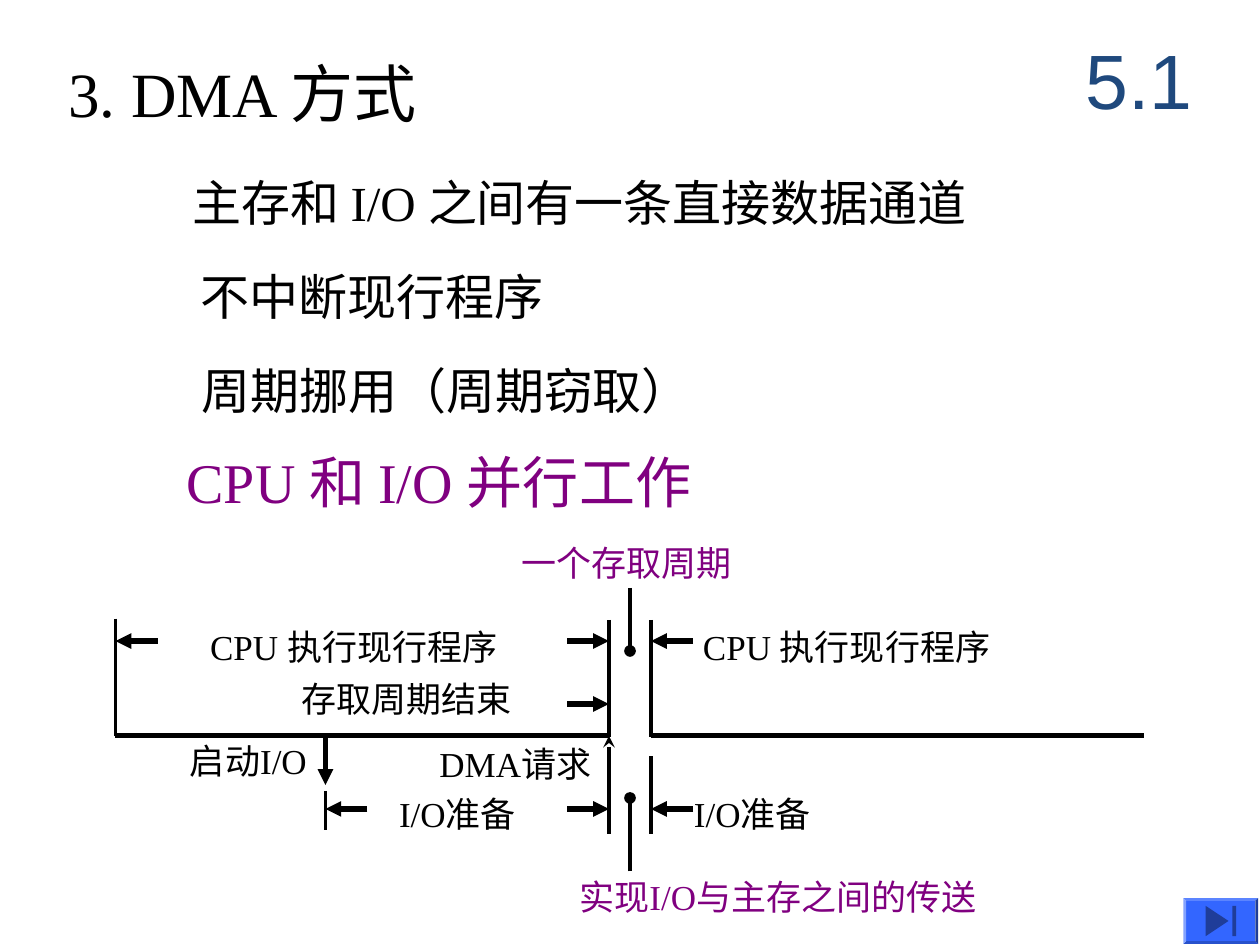
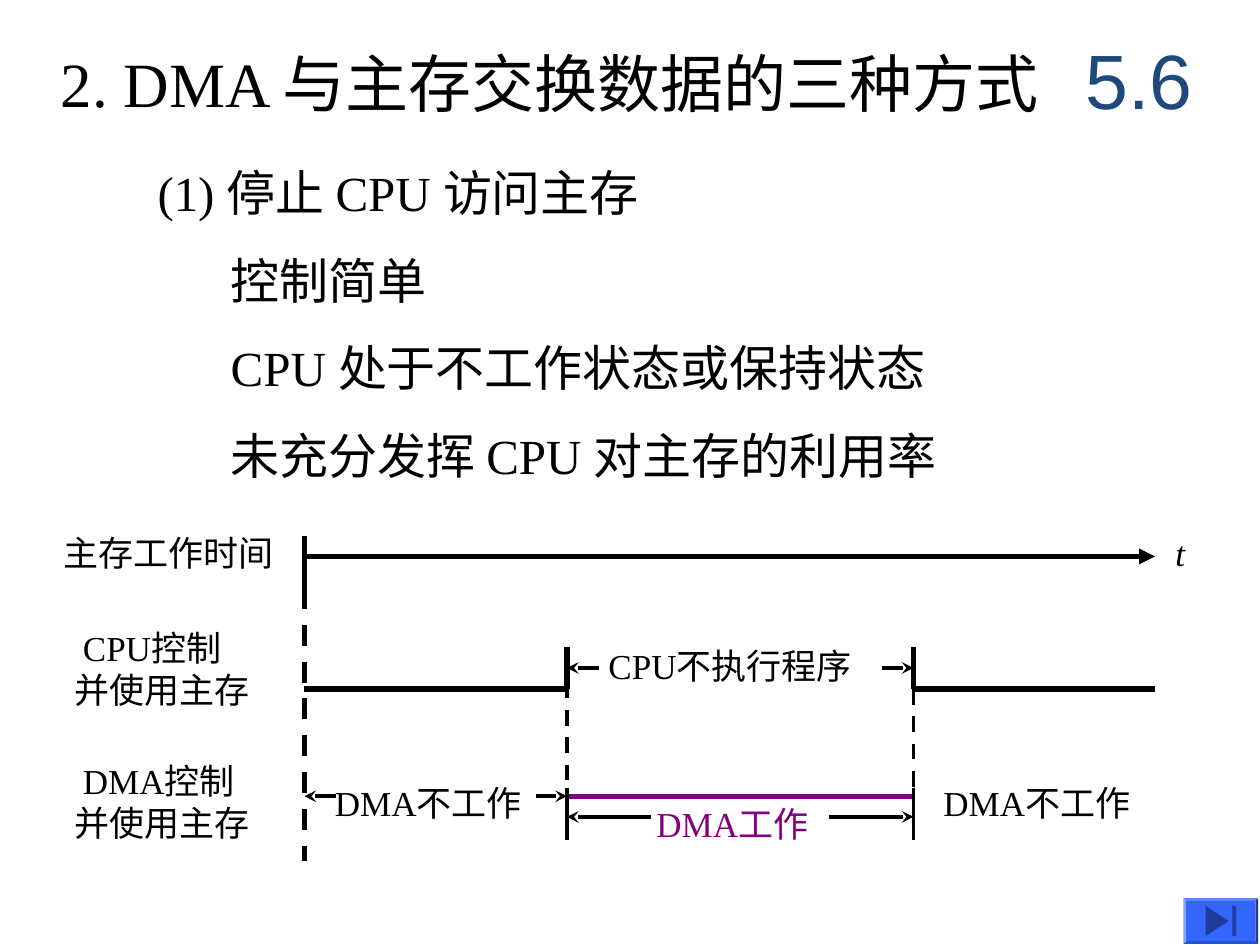
import pptx
import pptx.dml.color
import pptx.enum.dml
import pptx.enum.shapes
import pptx.enum.text
import pptx.oxml
import pptx.oxml.ns
import pptx.util

Pt = pptx.util.Pt
SHAPES = pptx.enum.shapes.MSO_SHAPE
ANCHOR = pptx.enum.text.MSO_ANCHOR
ALIGN = pptx.enum.text.PP_ALIGN
FIT = pptx.enum.text.MSO_AUTO_SIZE

SERIF, SANS = "Times New Roman", "Arial"
BLACK, PURPLE, NAVY = "000000", "800080", "1F497D"
BUTTON_BLUE, BUTTON_DARK = "3366FF", "1F3D99"
THICK, THIN = 3, 2.25
LINE_HEIGHT = 1.2

# x positions of the time marks
START, IO_START, CYCLE, CYCLE_MID, CYCLE_END, FINISH = 66, 186, 348, 360, 372, 654
ORIGIN, STOP, RESUME, AXIS_END = 174, 324, 522, 660

DMA_MODE = {
    "number": "5.1",
    "title": ("3. DMA 方式", 31.7, 27.4),
    "body": (99.4, 95, 560, 20.2),
    "items": [
        ("主存和 I/O 之间有一条直接数据通道", {"indent": 3.6}),
        ("不中断现行程序", {"indent": 8}),
        ("周期挪用（周期窃取）", {"indent": 8.6}),
        ("CPU 和 I/O 并行工作", {"size": 32, "color": PURPLE, "before": 16}),
    ],
    "labels": [
        (["存取周期结束"], 165, 383.8, 135, {}),
        (["CPU 执行现行程序"], 113, 354, 188, {}),
        (["CPU 执行现行程序"], 394.6, 354, 188, {}),
        (["DMA请求"], 244, 420.5, 106, {}),
        (["启动I/O"], 101.5, 419, 86, {}),
        (["I/O准备"], 221, 449.3, 86, {}),
        (["I/O准备"], 389.5, 449.3, 86, {}),
        (["一个存取周期"], 291, 306, 135, {"color": PURPLE}),
        (["实现I/O与主存之间的传送"], 324, 496.8, 258, {"color": PURPLE}),
    ],
    "lines": [
        (START, 420.5, CYCLE, 420.5, THICK, {}),
        (CYCLE_END, 420.5, FINISH, 420.5, THICK, {}),
        (START, 353.5, START, 420.5, THIN, {}),
        (CYCLE, 354.2, CYCLE, 421, THIN, {}),
        (CYCLE_END, 354.2, CYCLE_END, 421, THIN, {}),
        (CYCLE, 476.5, CYCLE, 420.5, THIN, {"arrow": "stealth"}),
        (CYCLE_END, 432, CYCLE_END, 476.5, THIN, {}),
        (IO_START, 419, IO_START, 448.6, THICK, {"arrow": "triangle"}),
        (IO_START, 452, IO_START, 474.5, THIN, {}),
        (CYCLE_MID, 336, CYCLE_MID, 372, THIN, {"arrow": "oval"}),
        (CYCLE_MID, 498, CYCLE_MID, 456, THIN, {"arrow": "oval"}),
    ],
    "pointers": [
        (START, 366.3, 24, THICK, "triangle"),
        (CYCLE, 366.3, -24, THICK, "triangle"),
        (CYCLE_END, 366.3, 24, THICK, "triangle"),
        (CYCLE, 402.3, -24, THICK, "triangle"),
        (IO_START, 462.3, 24, THICK, "triangle"),
        (CYCLE, 462.3, -24, THICK, "triangle"),
        (CYCLE_END, 462.3, 24, THICK, "triangle"),
    ],
}

DMA_STOP_CPU = {
    "number": "5.6",
    "title": ("2. DMA 与主存交换数据的三种方式", 27.4, 21.6),
    "body": (82.8, 89.3, 560, 16.4),
    "items": [
        ("(1) 停止 CPU 访问主存", {}),
        ("控制简单", {"indent": 41.8}),
        ("CPU 处于不工作状态或保持状态", {"indent": 41.8}),
        ("未充分发挥 CPU 对主存的利用率", {"indent": 41.8}),
    ],
    "labels": [
        (["主存工作时间"], 29, 300, 135, {}),
        (["CPU控制", "并使用主存"], 35.3, 354.2, 114.5, {"first_indent": 5}),
        (["DMA控制", "并使用主存"], 35.3, 430.6, 114.5, {"first_indent": 5}),
        (["CPU不执行程序"], 340.6, 365, 158.4, {}),
        (["DMA不工作"], 184.3, 442.8, 126, {}),
        (["DMA不工作"], 532, 442.8, 126, {}),
        (["DMA工作"], 368, 455, 106, {"color": PURPLE}),
        (["t"], 664.6, 300, 19.5, {"italic": True}),
    ],
    "lines": [
        (ORIGIN, 306, ORIGIN, 336, THICK, {}),
        (ORIGIN, 318, AXIS_END, 318, THICK, {"arrow": "triangle"}),
        (ORIGIN, 336, ORIGIN, 492, THICK, {"dash": True}),
        (ORIGIN, 393.7, STOP, 393.7, THICK, {}),
        (RESUME, 393.7, AXIS_END, 393.7, THICK, {}),
        (STOP, 369.5, STOP, 393.7, THICK, {}),
        (RESUME, 369.5, RESUME, 393.7, THICK, {}),
        (STOP, 390, STOP, 456, THIN, {"dash": True}),
        (RESUME, 378, RESUME, 456, THIN, {"dash": True}),
        (STOP, 455, RESUME, 455, THICK, {"color": PURPLE}),
        (STOP, 450, STOP, 480, THIN, {}),
        (RESUME, 450, RESUME, 480, THIN, {}),
    ],
    "pointers": [
        (STOP, 381.7, 18, THIN, "stealth"),
        (RESUME, 381.7, -18, THIN, "stealth"),
        (ORIGIN, 455, 18, THIN, "stealth"),
        (STOP, 455, -18, THIN, "stealth"),
        (STOP, 466.8, 48, THIN, "stealth"),
        (RESUME, 466.8, -48, THIN, "stealth"),
    ],
}


def rgb(value):
    """Turn a hex string into a colour."""
    return pptx.dml.color.RGBColor.from_string(value)


def add_child(parent, tag, **attributes):
    """Append a DrawingML element to a parent element."""
    child = pptx.oxml.parse_xml(f"<a:{tag} {pptx.oxml.ns.nsdecls('a')}/>")
    for name, value in attributes.items():
        child.set(name, value)
    parent.append(child)


def write(para, text, size=20, font=SERIF, color=BLACK, italic=False,
          align=ALIGN.LEFT, indent=0, before=0):
    """Write one paragraph with its format."""
    properties = para._p.get_or_add_pPr()
    properties.set("marL", str(Pt(indent)))
    properties.set("indent", "0")
    add_child(properties, "buNone")
    para.alignment = align
    para.space_before = Pt(before)
    span = para.add_run()
    span.text = text
    span.font.size = Pt(size)
    span.font.name = font
    span.font.italic = italic
    span.font.bold = False
    span.font.color.rgb = rgb(color)


def place(box, left, top, width, height, anchor=ANCHOR.TOP):
    """Move a text shape and return its wrapped text frame."""
    box.left, box.top, box.width, box.height = map(Pt, (left, top, width, height))
    frame = box.text_frame
    frame.word_wrap = True
    frame.auto_size = FIT.NONE
    frame.vertical_anchor = anchor
    return frame


def add_label(page, texts, left, top, width, first_indent=0, **style):
    """Add a small diagram label of one or more lines."""
    height = len(texts) * 20 * LINE_HEIGHT + 7.2
    frame = place(page.shapes.add_textbox(0, 0, 0, 0), left, top, width, height)
    frame.word_wrap = False
    frame.auto_size = FIT.SHAPE_TO_FIT_TEXT
    for index, text in enumerate(texts):
        para = frame.add_paragraph() if index else frame.paragraphs[0]
        write(para, text, indent=0 if index else first_indent, **style)


def add_line(page, x1, y1, x2, y2, weight, color=BLACK, dash=False, arrow=None):
    """Add a straight line with an optional arrowhead at its end."""
    line = page.shapes.add_connector(
        pptx.enum.shapes.MSO_CONNECTOR.STRAIGHT, *map(Pt, (x1, y1, x2, y2)))
    line.line.color.rgb = rgb(color)
    line.line.width = Pt(weight)
    if dash:
        line.line.dash_style = pptx.enum.dml.MSO_LINE.DASH
    if arrow:
        add_child(line.line._get_or_add_ln(), "tailEnd", type=arrow)
    add_child(line._element.spPr, "effectLst")


def paint(shape, color):
    """Give a shape a plain fill without line or shadow."""
    shape.shadow.inherit = False
    shape.fill.solid()
    shape.fill.fore_color.rgb = rgb(color)
    shape.line.fill.background()


def add_end_button(page):
    """Draw the bevelled go-to-end button in the corner."""
    button = page.shapes.add_shape(SHAPES.BEVEL, *map(Pt, (676.3, 513.2, 42.7, 26.2)))
    button.adjustments[0] = 0.06
    paint(button, BUTTON_BLUE)
    builder = page.shapes.build_freeform(Pt(689), Pt(517.7))
    builder.add_line_segments([(Pt(702), Pt(526.3)), (Pt(689), Pt(535))])
    paint(builder.convert_to_shape(), BUTTON_DARK)
    bar = page.shapes.add_shape(SHAPES.RECTANGLE, *map(Pt, (704.2, 517.7, 2.2, 17.3)))
    paint(bar, BUTTON_DARK)


def add_page(deck, content):
    """Build one slide from its content."""
    page = deck.slides.add_slide(deck.slide_layouts[1])
    title, left, top = content["title"]
    frame = place(page.shapes.title, left, top, 600, 50.4)
    write(frame.paragraphs[0], title, size=36)

    left, top, width, gap = content["body"]
    frame = place(page.placeholders[1], left, top, width, 210)
    for index, (text, style) in enumerate(content["items"]):
        para = frame.add_paragraph() if index else frame.paragraphs[0]
        write(para, text, **{"size": 28, "before": gap if index else 0, **style})

    for *geometry, style in content["lines"]:
        add_line(page, *geometry, **style)
    for tip, y, length, weight, arrow in content["pointers"]:
        add_line(page, tip + length, y, tip, y, weight, arrow=arrow)
    for *geometry, style in content["labels"]:
        add_label(page, *geometry, **style)

    number = page.shapes.add_textbox(0, 0, 0, 0)
    frame = place(number, 606, 12, 90, 66, anchor=ANCHOR.MIDDLE)
    write(frame.paragraphs[0], content["number"], size=44, font=SANS,
          color=NAVY, align=ALIGN.CENTER)
    add_end_button(page)


def main():
    """Build the deck and save it."""
    deck = pptx.Presentation()
    deck.slide_width, deck.slide_height = Pt(720), Pt(540)
    for content in (DMA_MODE, DMA_STOP_CPU):
        add_page(deck, content)
    deck.save("out.pptx")


if __name__ == "__main__":
    main()
